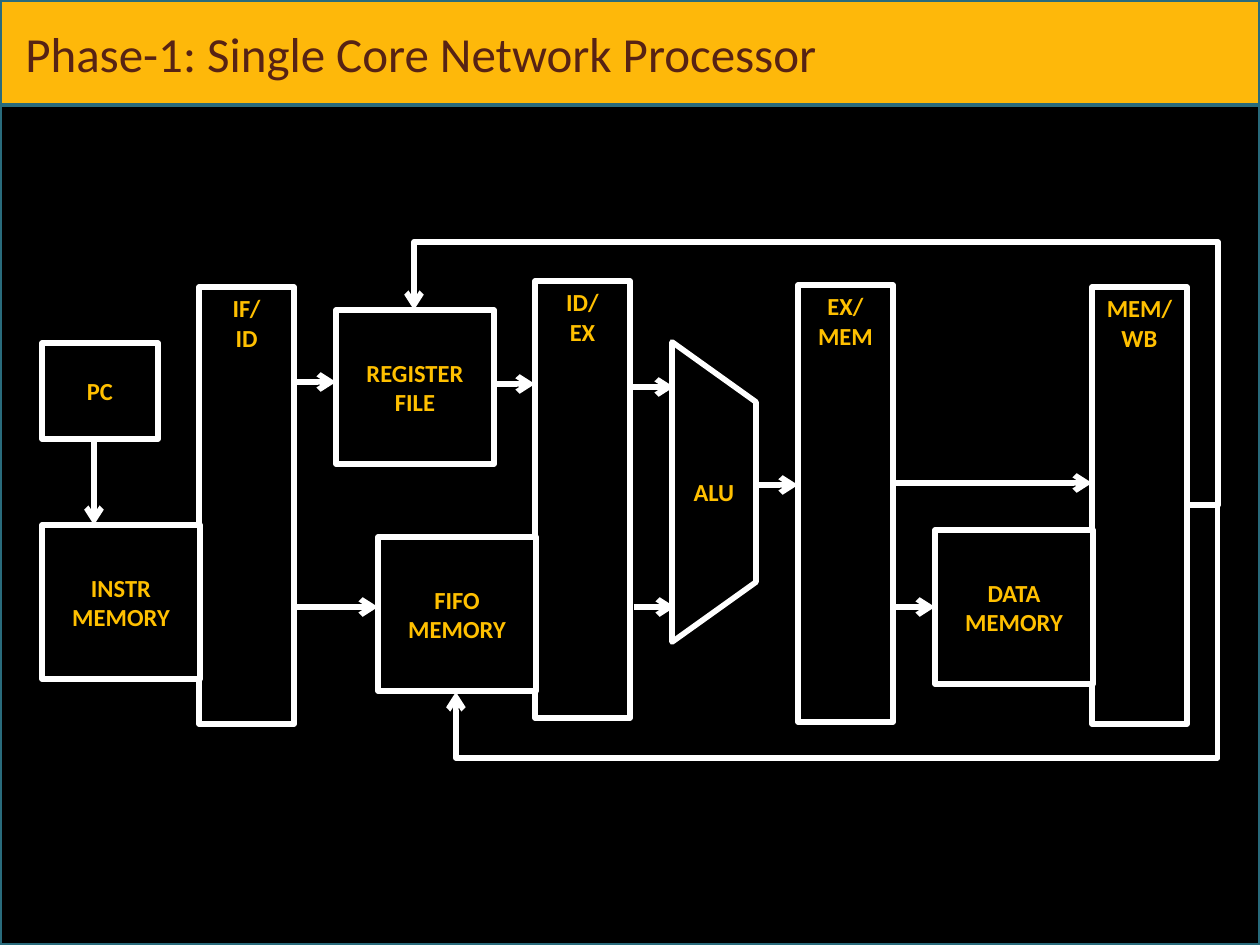
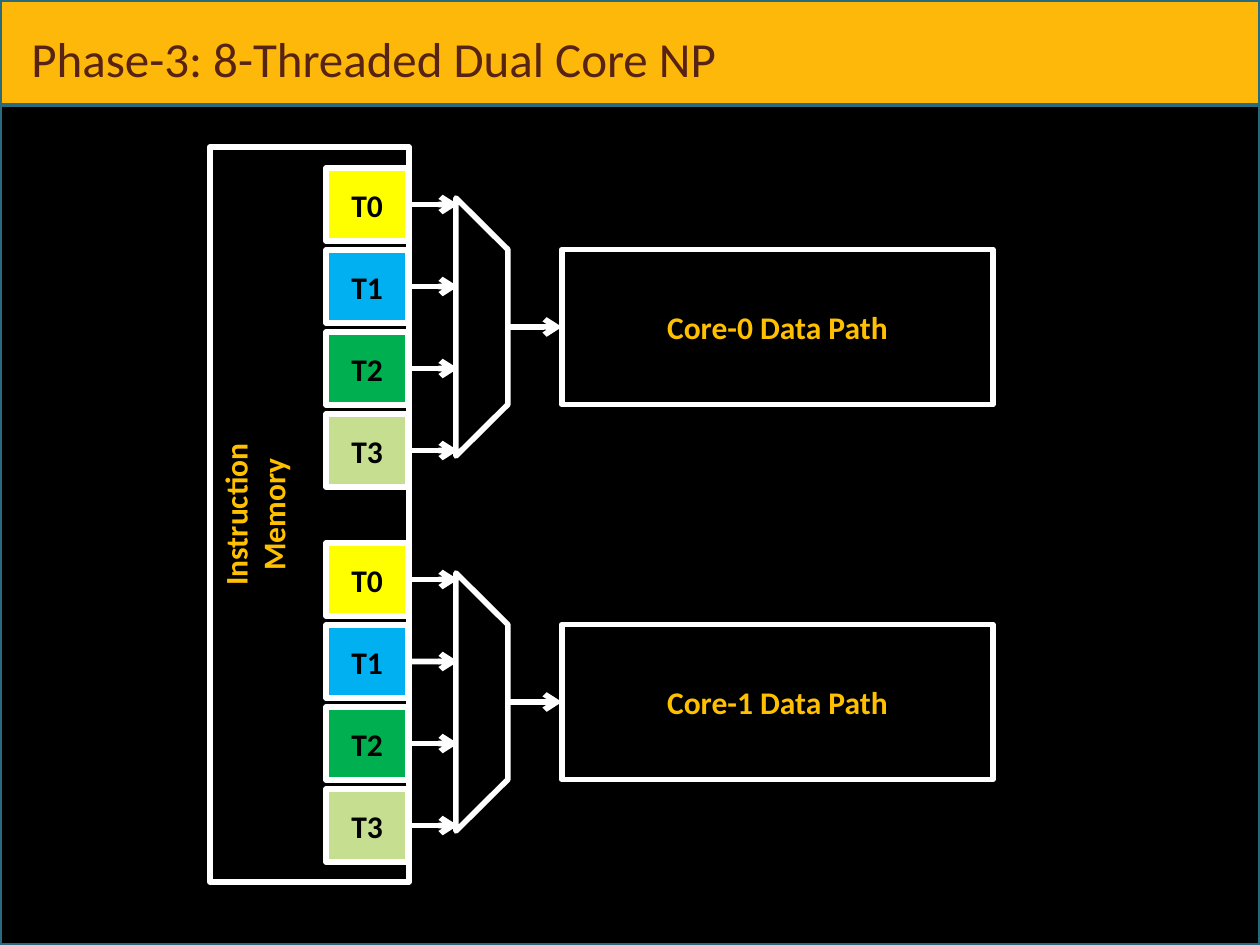
import lxml.etree
import pptx
import pptx.dml.color
import pptx.enum.shapes
import pptx.enum.text
import pptx.oxml.ns
import pptx.util

PX = 914400 / 126
SLIDE_W, SLIDE_H, BAND_H = 1260, 945, 105
FONT = "Calibri"
BLACK, WHITE, AMBER, GOLD = "000000", "FFFFFF", "FEB80A", "FFC000"
BROWN, TEAL = "572314", "296B7C"
THREAD_FILLS = ["FFFF00", "00B0F0", "00B050", "C5DE90"]
OUTLINE_PT = 3.2

PRESET = pptx.enum.shapes.MSO_SHAPE
CONNECTOR = pptx.enum.shapes.MSO_CONNECTOR
ANCHOR = pptx.enum.text.MSO_ANCHOR
ALIGN = pptx.enum.text.PP_ALIGN
LEFT_SIDE, RIGHT_SIDE = 1, 3


def emu(*lengths):
    return [pptx.util.Emu(round(length * PX)) for length in lengths]


def colour(code):
    return pptx.dml.color.RGBColor.from_string(code)


def add_xml(parent, tag, **attributes):
    return lxml.etree.SubElement(parent, pptx.oxml.ns.qn(tag), attributes)


def set_outline(line, code, points):
    line.color.rgb = colour(code)
    line.width = pptx.util.Pt(points)


def write(shape, text, size, code, bold=True, align=ALIGN.CENTER,
          anchor=ANCHOR.MIDDLE, direction=None):
    """Fill the shape with text, one paragraph for each line."""
    frame = shape.text_frame
    frame.word_wrap = True
    frame.vertical_anchor = anchor
    frame.text = text
    if direction:
        shape.element.txBody.bodyPr.set("vert", direction)
    font_format = {"name": FONT, "size": pptx.util.Pt(size), "bold": bold}
    for paragraph in frame.paragraphs:
        paragraph.alignment = align
        font = paragraph.runs[0].font
        for name, value in font_format.items():
            setattr(font, name, value)
        font.color.rgb = colour(code)


def add_block(slide, box, fill=BLACK, line=WHITE, points=OUTLINE_PT,
              preset=PRESET.FLOWCHART_PROCESS):
    """Add an outlined shape; a fill of None leaves it hollow."""
    block = slide.shapes.add_shape(preset, *emu(*box))
    block.shadow.inherit = False
    if fill:
        block.fill.solid()
        block.fill.fore_color.rgb = colour(fill)
    else:
        block.fill.background()
    set_outline(block.line, line, points)
    return block


def add_trapezoid(slide, box, fill=None):
    """Add a trapezoid that narrows to the right and covers the box."""
    left, top, width, height = box
    shift = (height - width) / 2
    trapezoid = add_block(slide, (left - shift, top + shift, height, width),
                          fill, preset=PRESET.FLOWCHART_MANUAL_OPERATION)
    trapezoid.rotation = 270
    return trapezoid


def add_arrow(slide, start, end, source=None, target=None,
              kind=CONNECTOR.STRAIGHT):
    """Draw an arrow, joined to the right of source and the left of target."""
    arrow = slide.shapes.add_connector(kind, *emu(*start, *end))
    if source:
        arrow.begin_connect(source, RIGHT_SIDE)
    if target:
        arrow.end_connect(target, LEFT_SIDE)
    set_outline(arrow.line, WHITE, OUTLINE_PT)
    add_xml(arrow.get_or_add_ln(), "a:tailEnd", type="arrow")
    add_xml(arrow.element.spPr, "a:effectLst")
    return arrow


def add_feedback(slide, start, end, rail_x, rail_y):
    """Draw an arrow that runs by way of the corner (rail_x, rail_y)."""
    arrow = add_arrow(slide, start, end, kind=CONNECTOR.ELBOW)
    geometry = arrow.element.spPr.find(pptx.oxml.ns.qn("a:prstGeom"))
    geometry.set("prst", "bentConnector4")
    for old in list(geometry):
        geometry.remove(old)
    adjustments = add_xml(geometry, "a:avLst")
    for index, rail in enumerate((rail_x, rail_y)):
        share = (rail - start[index]) / (end[index] - start[index])
        add_xml(adjustments, "a:gd", name=f"adj{index + 1}",
                fmla=f"val {round(share * 100000)}")


def add_titled_slide(deck, title, title_box):
    slide = deck.slides.add_slide(deck.slide_layouts[6])
    for height, fill in ((SLIDE_H, BLACK), (BAND_H, AMBER)):
        add_block(slide, (0, 0, SLIDE_W, height), fill, TEAL, 2,
                  PRESET.RECTANGLE)
    heading = slide.shapes.add_textbox(*emu(*title_box))
    write(heading, title, 28, BROWN, bold=False, align=ALIGN.LEFT)
    return slide


def add_pipeline(slide, left, top):
    def at(x, y):
        return left + x, top + y

    stages = {"IF/\nID": (157, 45), "ID/\nEX": (493, 39),
              "EX/\nMEM": (756, 43), "MEM/WB": (1050, 45)}
    for name, corner in stages.items():
        stage = add_block(slide, (*at(*corner), 95, 437))
        write(stage, name, 14, GOLD, anchor=ANCHOR.TOP)

    units = {"FIFO MEMORY": (336, 295, 158, 154),
             "REGISTER FILE": (294, 68, 158, 154),
             "DATA MEMORY": (893, 288, 158, 154),
             "INSTR MEMORY": (0, 283, 158, 154),
             "PC": (0, 101, 116, 96)}
    blocks = {}
    for name, (x, y, width, height) in units.items():
        blocks[name] = add_block(slide, (*at(x, y), width, height))
        write(blocks[name], name, 14, GOLD)

    alu = add_trapezoid(slide, (*at(630, 100), 84, 300), BLACK)
    write(alu, "ALU", 14, GOLD, direction="vert")

    add_arrow(slide, at(52, 197), at(52, 283))
    flows = [(252, 336, 365), (452, 493, 142), (592, 633, 365),
             (590, 632, 145), (714, 756, 243), (252, 294, 140),
             (850, 1050, 241)]
    for start_x, end_x, y in flows:
        add_arrow(slide, at(start_x, y), at(end_x, y))
    add_arrow(slide, at(850, 365), at(893, 365),
              target=blocks["DATA MEMORY"])

    write_back = at(1145, 263)
    add_feedback(slide, write_back, at(372, 68), *at(1176, 0))
    add_feedback(slide, write_back, at(414, 450), *at(1176, 516))


def add_core(slide, left, top, label):
    """Draw four threads, the multiplexer that picks one, and the core."""
    pitch, thread_w, thread_h = 82, 82, 73
    middle = top + (3 * pitch + thread_h) // 2
    mux_left, mux_w, mux_h = left + 130, 52, 258
    path_left, path_w, path_h = left + 236, 431, 155

    data_path = add_block(
        slide, (path_left, middle - path_h / 2, path_w, path_h), None)
    write(data_path, label, 18, GOLD)
    add_trapezoid(slide, (mux_left, middle - mux_h / 2, mux_w, mux_h))
    for number, fill in enumerate(THREAD_FILLS):
        y = top + number * pitch
        thread = add_block(slide, (left, y, thread_w, thread_h), fill)
        write(thread, f"T{number}", 18, BLACK)
        centre = y + thread_h / 2
        add_arrow(slide, (left + thread_w, centre), (mux_left + 2, centre),
                  source=thread)
    add_arrow(slide, (mux_left + mux_w, middle), (path_left, middle),
              target=data_path)


def add_instruction_memory(slide, box):
    memory = add_block(slide, box, None)
    write(memory, "Instruction\nMemory", 18, GOLD, anchor=ANCHOR.TOP,
          direction="vert270")


def main():
    deck = pptx.Presentation()
    deck.slide_width, deck.slide_height = emu(SLIDE_W, SLIDE_H)

    single_core = add_titled_slide(
        deck, "Phase-1: Single Core Network Processor", (13, 0, 1236, 105))
    add_pipeline(single_core, 42, 242)

    dual_core = add_titled_slide(
        deck, "Phase-3: 8-Threaded Dual Core NP", (19, 13, 1218, 89))
    for core, top in ((1, 543), (0, 168)):
        add_core(dual_core, 326, top, f"Core-{core} Data Path")
    add_instruction_memory(dual_core, (210, 147, 199, 735))

    deck.save("out.pptx")


if __name__ == "__main__":
    main()
